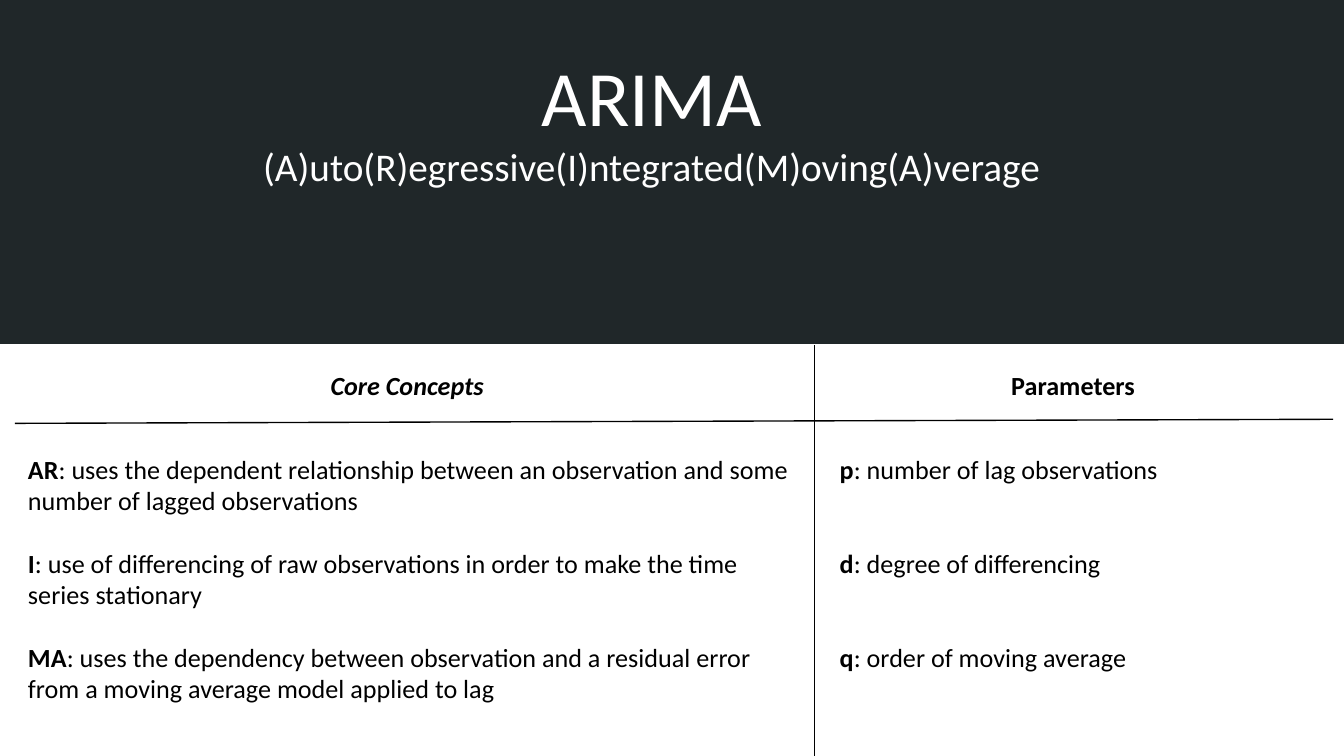
from lxml import etree
from pptx import Presentation
from pptx.dml.color import RGBColor
from pptx.enum.shapes import MSO_CONNECTOR as Connector, MSO_SHAPE as Shape
from pptx.enum.text import PP_ALIGN as Align
from pptx.oxml.ns import qn
from pptx.util import Inches, Pt

DARK = RGBColor(0x20, 0x27, 0x29)
WHITE = RGBColor(0xFF, 0xFF, 0xFF)
BLACK = RGBColor(0, 0, 0)

WIDTH = 10
HEIGHT = WIDTH * 9 / 16
BAND_HEIGHT = 2.56
DIVIDER = 6.06
HEADING_TOP, HEADING_HEIGHT = 2.65, 0.44
BODY_TOP = 3.27
BODY_SIZE = 14
LINE_POINTS = 16.8  # height of one body line

CONCEPTS = [
    ("AR", "uses the dependent relationship between an observation and some "
           "number of lagged observations"),
    ("I", "use of differencing of raw observations in order to make the time "
          "series stationary"),
    ("MA", "uses the dependency between observation and a residual error from "
           "a moving average model applied to lag"),
]
PARAMETERS = [
    ("p", "number of lag observations"),
    ("d", "degree of differencing"),
    ("q", "order of moving average"),
]


def add_text_frame(slide, box):
    frame = slide.shapes.add_textbox(*map(Inches, box)).text_frame
    frame.word_wrap = True
    frame.margin_left = frame.margin_right = Inches(0.1)
    frame.margin_top = frame.margin_bottom = Inches(0.1)
    return frame


def style(paragraph, size, color):
    paragraph.font.name = "Calibri"
    paragraph.font.size = Pt(size)
    paragraph.font.color.rgb = color


def fill_centred(paragraph, text, size, color):
    paragraph.text = text
    paragraph.alignment = Align.CENTER
    style(paragraph, size, color)


def add_definitions(slide, box, definitions, gap_lines):
    frame = add_text_frame(slide, box)
    for index, (term, meaning) in enumerate(definitions):
        paragraph = frame.add_paragraph() if index else frame.paragraphs[0]
        style(paragraph, BODY_SIZE, BLACK)
        if index:
            paragraph.space_before = Pt(gap_lines * LINE_POINTS)
        term_run = paragraph.add_run()
        term_run.text = term
        term_run.font.bold = True
        paragraph.add_run().text = f": {meaning}"


def add_rule(slide, start, end):
    line = slide.shapes.add_connector(
        Connector.STRAIGHT, *map(Inches, (*start, *end)))
    line.line.color.rgb = BLACK
    line.line.width = Pt(0.75)
    etree.SubElement(line._element.spPr, qn("a:effectLst"))


def add_title_band(slide, left, top, width, height):
    band = slide.shapes.add_shape(
        Shape.RECTANGLE, *map(Inches, (left, top, width, height)))
    band.shadow.inherit = False
    band.fill.solid()
    band.fill.fore_color.rgb = DARK
    band.line.fill.background()

    frame = add_text_frame(slide, (left - 0.3, top + 0.26, width + 0.3, 1.26))
    title = frame.paragraphs[0]
    fill_centred(title, "ARIMA", 42, WHITE)
    # A hanging indent sets the title slightly left of the subtitle
    title._p.get_or_add_pPr().set("indent", str(Inches(-0.27)))
    fill_centred(frame.add_paragraph(),
                 "(A)uto(R)egressive(I)ntegrated(M)oving(A)verage", 21, WHITE)


def add_column(slide, left, heading_box, body_size, heading, definitions,
               gap_lines, italic=False):
    heading_left, heading_width = heading_box
    frame = add_text_frame(
        slide, (heading_left, HEADING_TOP, heading_width, HEADING_HEIGHT))
    paragraph = frame.paragraphs[0]
    fill_centred(paragraph, heading, BODY_SIZE, BLACK)
    paragraph.font.bold = True
    paragraph.font.italic = italic
    add_definitions(slide, (left, BODY_TOP, *body_size), definitions,
                    gap_lines)


def main():
    presentation = Presentation()
    presentation.slide_width = Inches(WIDTH)
    presentation.slide_height = Inches(HEIGHT)
    slide = presentation.slides.add_slide(presentation.slide_layouts[6])

    add_title_band(slide, 0, 0, WIDTH, BAND_HEIGHT)

    # Two columns; single-line definitions take a wider gap to stay level
    add_column(slide, 0.11, (0.22, 5.62), (5.88, 2.09), "Core Concepts",
               CONCEPTS, gap_lines=1, italic=True)
    add_column(slide, 6.15, (6.15, 3.67), (3.7, 1.85), "Parameters",
               PARAMETERS, gap_lines=2)

    # Rules between the columns and under the headings
    add_rule(slide, (DIVIDER, BAND_HEIGHT + 0.01), (DIVIDER, HEIGHT))
    add_rule(slide, (0.11, 3.15), (9.92, 3.12))

    presentation.save("out.pptx")


if __name__ == "__main__":
    main()
